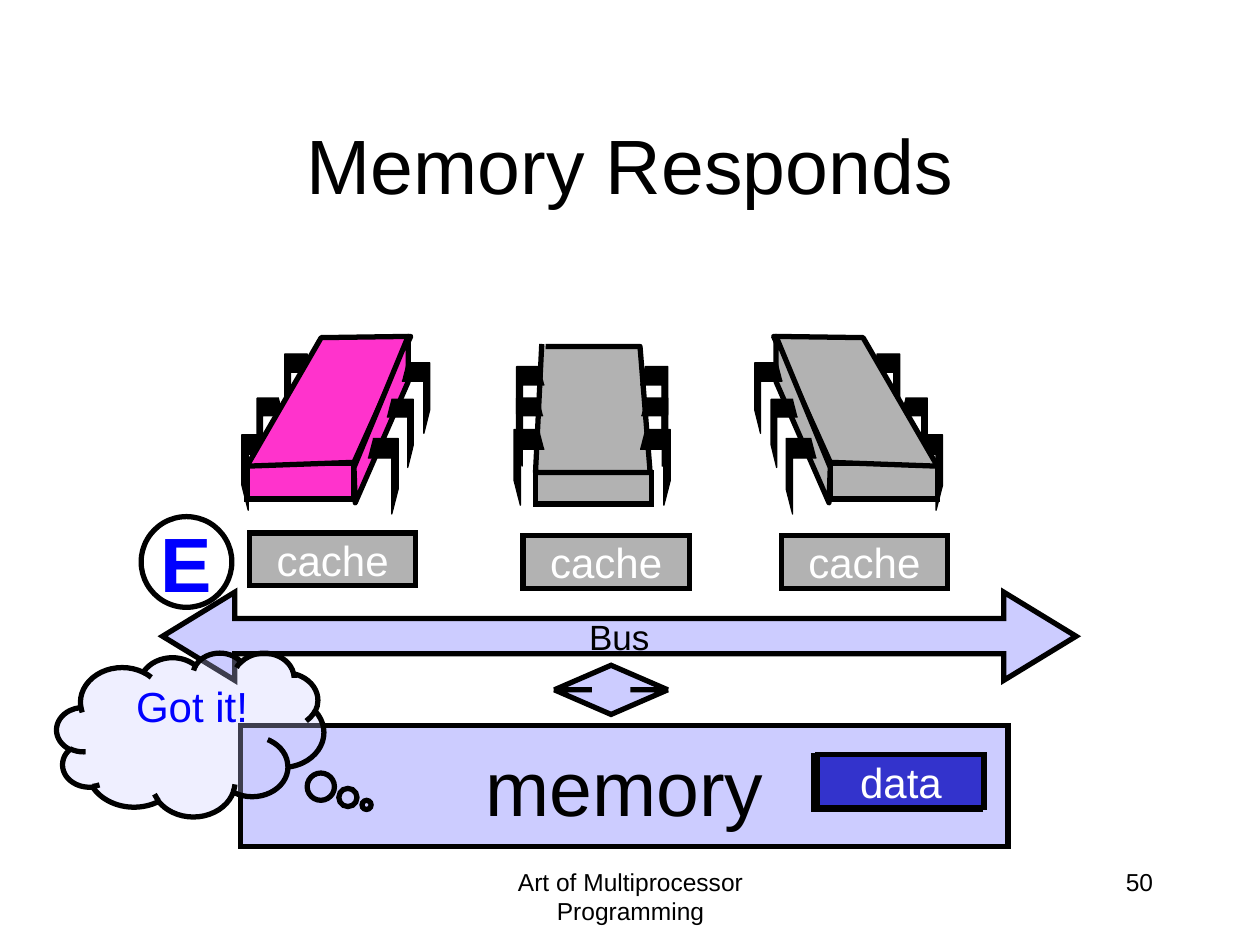
"""Build the slide showing memory answering a cache over the bus."""
from dataclasses import dataclass

from pptx import Presentation
from pptx import util as u
from pptx.dml.color import RGBColor
from pptx.enum import shapes, text
from pptx.oxml.ns import qn
from lxml import etree

KIND = shapes.MSO_SHAPE
ALIGN = text.PP_ALIGN
ANCHOR = text.MSO_ANCHOR


@dataclass(frozen=True)
class Theme:
    """Colours, type sizes and line widths."""
    font: str = "Arial"
    black: str = "000000"
    white: str = "FFFFFF"
    grey: str = "B2B2B2"
    pink: str = "FF33CC"
    lilac: str = "CCCCFF"
    navy: str = "3333CC"
    blue: str = "0000FF"
    small: int = 14
    medium: int = 20
    label: int = 24
    large: int = 44
    outline: float = 3
    hairline: float = 0.75


class SlideBuilder:
    """Draws styled elements on the current slide."""

    LEG = [(0.83, 0), (0, 0), (0, 0.67), (0.21, 1), (0.21, 0.26), (1, 0.26)]

    def __init__(self, page, theme):
        self.page = page
        self.theme = theme
        self.canvas = page.shapes

    def start_group(self):
        self.canvas = self.page.shapes.add_group_shape().shapes

    def end_group(self):
        self.canvas = self.page.shapes

    def paint(self, shape, fill, width):
        shape.shadow.inherit = False
        if fill:
            shape.fill.solid()
            shape.fill.fore_color.rgb = RGBColor.from_string(fill)
        else:
            shape.fill.background()
        shape.line.color.rgb = RGBColor.from_string(self.theme.black)
        shape.line.width = u.Pt(width)

    def set_words(self, shape, words, size, colour, align, anchor, wrap, bold=False):
        frame = shape.text_frame
        frame.word_wrap = wrap
        frame.vertical_anchor = anchor
        paragraph = frame.paragraphs[0]
        paragraph.text = words
        paragraph.alignment = align
        font = paragraph.font
        font.name, font.size, font.bold = self.theme.font, u.Pt(size), bold
        font.color.rgb = RGBColor.from_string(colour)

    def label(self, at, words, size, colour=Theme.black, align=ALIGN.CENTER,
              anchor=ANCHOR.TOP):
        box = self.canvas.add_textbox(*map(u.Inches, at))
        self.set_words(box, words, size, colour, align, anchor, True)

    def shape(self, kind, at, fill, words="", size=Theme.label,
              colour=Theme.white, bold=False, adjust=(), alpha=None):
        shape = self.canvas.add_shape(kind, *map(u.Inches, at))
        for index, value in enumerate(adjust):
            shape.adjustments[index] = value
        self.paint(shape, fill, self.theme.outline)
        outline = shape._element.spPr.find(qn("a:ln"))
        etree.SubElement(outline, qn("a:miter")).set("lim", "800000")
        if alpha:
            tint = shape._element.spPr.find(f".//{qn('a:srgbClr')}")
            etree.SubElement(tint, qn("a:alpha")).set("val", str(alpha * 1000))
        if words:
            self.set_words(shape, words, size, colour, ALIGN.CENTER,
                           ANCHOR.MIDDLE, False, bold)

    def outline(self, points, fill, width=Theme.outline, close=True):
        start, *rest = [(u.Inches(x), u.Inches(y)) for x, y in points]
        builder = self.canvas.build_freeform(*start, scale=1.0)
        builder.add_line_segments(rest, close=close)
        self.paint(builder.convert_to_shape(), fill, width)

    def leg(self, edge, top, width, height, side):
        """Draw a chip leg from its outer edge; side is 1 for inward to the right."""
        points = [(edge + side * width * x, top + height * y) for x, y in self.LEG]
        self.outline(points, self.theme.black, self.theme.hairline, close=False)

    def front_chip(self, fill):
        self.start_group()
        self.shape(KIND.RECTANGLE, (4.25, 3.75, 0.92, 0.25), fill)
        self.outline([(4.33, 2.75), (5.08, 2.75), (5.16, 3.75), (4.25, 3.75),
                      (4.3, 2.73)], fill, close=False)
        for right, left, top, width, height in (
                (5.32, 4.08, 3.41, 0.24, 0.6),
                (5.3, 4.1, 3.16, 0.21, 0.54),
                (5.3, 4.1, 2.91, 0.22, 0.56)):
            self.leg(right, top, width, height, -1)
            self.leg(left, top, width, height, 1)
        self.end_group()

    def slanted_chip(self, fill, mirrored=False):
        side, origin = (-1, 9.4) if mirrored else (1, 0)

        def place(points):
            return [(origin + side * x, y) for x, y in points]

        self.start_group()
        front = origin - 1.96 - 0.85 if mirrored else 1.96
        self.shape(KIND.RECTANGLE, (front, 3.68, 0.85, 0.28), fill)
        sizes = ((0.24, 0.6), (0.21, 0.54), (0.22, 0.56))
        far = ((1.92, 3.45), (2.04, 3.16), (2.26, 2.81))
        near = ((3.16, 3.48), (3.28, 3.17), (3.41, 2.88))
        for (edge, top), size in zip(place(far), sizes):
            self.leg(edge, top, *size, side)
        self.outline(place([(1.96, 3.7), (2.81, 3.67), (3.26, 2.67),
                            (2.55, 2.68)]), fill)
        self.outline(place([(3.24, 2.67), (3.24, 3.03), (2.82, 3.99),
                            (2.81, 3.71)]), fill)
        for (edge, top), size in zip(place(near), sizes):
            self.leg(edge, top, *size, -side)
        self.end_group()


def main():
    theme = Theme()
    deck = Presentation()
    deck.slide_width, deck.slide_height = u.Inches(10), u.Inches(7.5)
    page = deck.slides.add_slide(deck.slide_layouts[6])
    build = SlideBuilder(page, theme)

    build.label((3.42, 6.83, 3.17, 0.5), "Art of Multiprocessor Programming",
                theme.small)
    build.label((7.17, 6.83, 2.08, 0.5), "50", theme.small, align=ALIGN.RIGHT)
    build.label((0.75, 0.67, 8.5, 1.25), "Memory Responds", theme.large,
                anchor=ANCHOR.MIDDLE)

    build.front_chip(theme.grey)
    build.slanted_chip(theme.pink)
    build.slanted_chip(theme.grey, mirrored=True)

    build.shape(KIND.LEFT_RIGHT_ARROW, (1.29, 4.7, 7.25, 0.7), theme.lilac,
                "Bus", theme.medium, theme.black, adjust=(0.4, 0.82))
    build.shape(KIND.RECTANGLE, (1.91, 5.76, 6.09, 0.96), theme.lilac,
                "memory", theme.large, theme.black)
    build.shape(KIND.UP_DOWN_ARROW, (4.4, 5.28, 0.9, 0.39), theme.lilac,
                adjust=(0.5, 0.34))
    for left, top in ((1.98, 4.23), (4.15, 4.25), (6.2, 4.25)):
        build.shape(KIND.RECTANGLE, (left, top, 1.32, 0.42), theme.grey, "cache")
    build.shape(KIND.RECTANGLE, (6.46, 6, 1.32, 0.42), theme.navy)

    build.start_group()
    build.shape(KIND.CLOUD_CALLOUT, (0.45, 5.18, 2.12, 1.3), theme.lilac,
                adjust=(0.66, 0.43), alpha=30)
    build.label((0.96, 5.35, 1.13, 0.51), "Got it!", theme.label, theme.blue)
    build.end_group()

    build.shape(KIND.RECTANGLE, (6.49, 5.99, 1.32, 0.42), theme.navy, "data")
    build.shape(KIND.OVAL, (1.12, 4.1, 0.72, 0.72), None, "E", theme.large,
                theme.blue, bold=True)
    deck.save("out.pptx")


if __name__ == "__main__":
    main()
